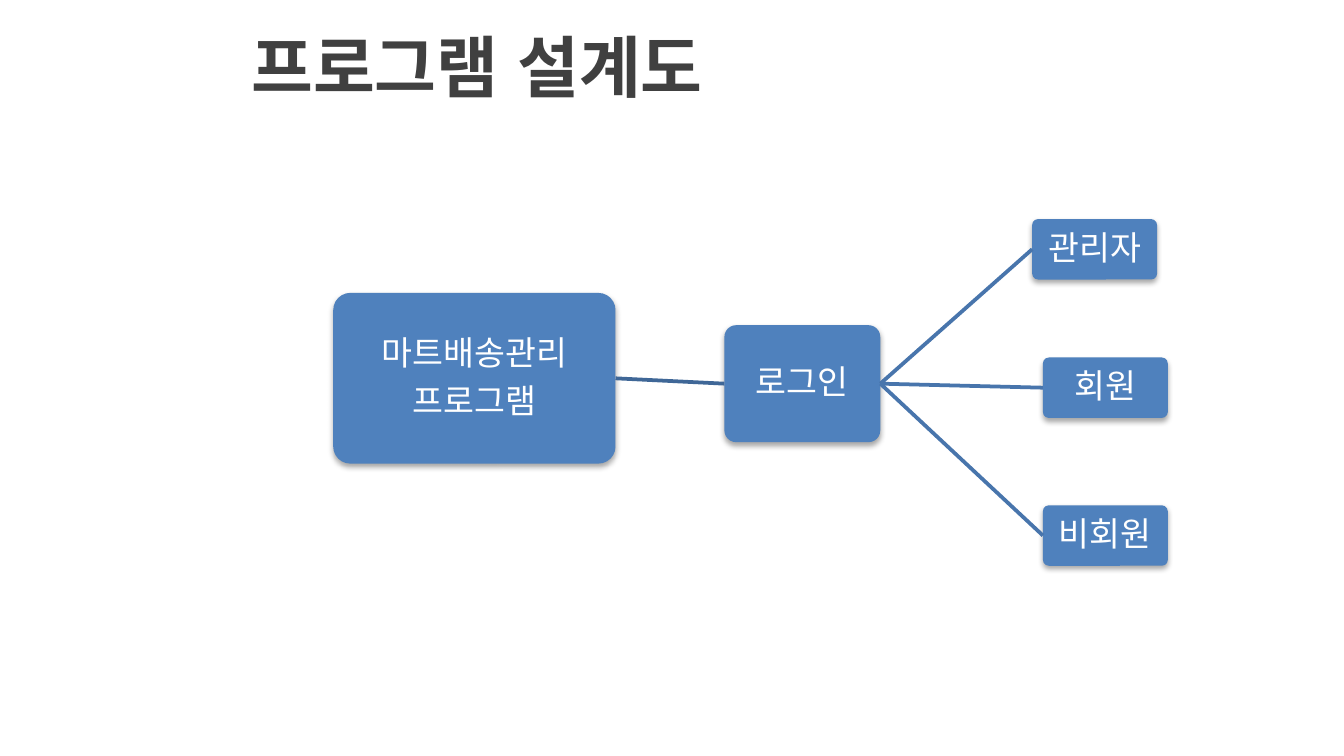
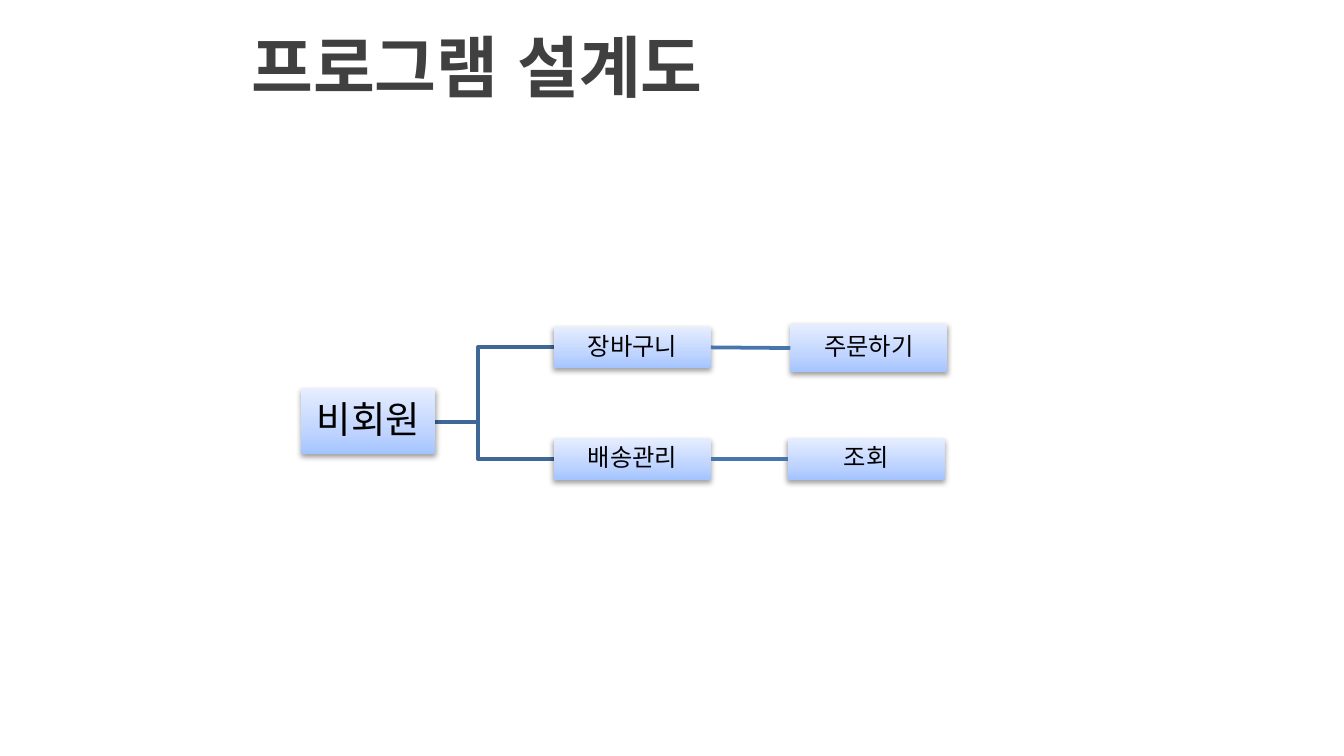
import pptx
import pptx.util
import pptx.dml.color
import pptx.enum.shapes
import pptx.enum.text
import pptx.oxml.ns
from lxml import etree

COLORS = {
    "title": "404040",
    "solid": "4F81BD",
    "trunk": "3F6797",
    "branch": "4875AC",
    "light_text": "FFFFFF",
    "dark_text": "000000",
    "shadow": "000000",
}
GRADIENT = [(0, "A4C4FF"), (35, "BFD4FF"), (100, "E6EEFF")]
TITLE_FONT, NODE_FONT = "Arial", "Noto Sans CJK KR"
CELL = pptx.util.Inches(0.1)
LEFT, RIGHT = 1, 3
qn = pptx.oxml.ns.qn


def cells(*counts):
    """Turn counts of grid cells into lengths."""
    return [round(count * CELL) for count in counts]


def rgb(name):
    """Look up a named colour."""
    return pptx.dml.color.RGBColor.from_string(COLORS[name])


def style_text(paragraph, typeface, size, color, bold=False):
    """Set the font of a whole paragraph, Korean glyphs included."""
    font = paragraph.font
    font.name, font.size, font.bold = typeface, pptx.util.Pt(size), bold
    font.color.rgb = rgb(color)
    defaults = paragraph._p.pPr.find(qn("a:defRPr"))
    etree.SubElement(defaults, qn("a:ea"), typeface=typeface)


def add_shadow(shape, opacity, distance):
    """Give a shape a soft shadow straight below it."""
    shape.shadow.inherit = False
    effects = shape._element.spPr.find(qn("a:effectLst"))
    outer = etree.SubElement(
        effects, qn("a:outerShdw"), blurRad=str(pptx.util.Pt(3.1)),
        dist=str(pptx.util.Pt(distance)), dir="5400000", rotWithShape="0")
    color = etree.SubElement(outer, qn("a:srgbClr"), val=COLORS["shadow"])
    etree.SubElement(color, qn("a:alpha"), val=str(opacity * 1000))


def fill_gradient(shape):
    """Fill a shape with the pale gradient, darkest at the bottom."""
    shape.fill.gradient()
    shape.fill.gradient_angle = 90
    stops = shape._element.spPr.find(qn("a:gradFill")).find(qn("a:gsLst"))
    for stop in list(stops):
        stops.remove(stop)
    for position, color in GRADIENT:
        stop = etree.SubElement(stops, qn("a:gs"), pos=str(position * 1000))
        etree.SubElement(stop, qn("a:srgbClr"), val=color)


def write_label(shape, lines, size, color):
    """Centre the lines of a label in its box."""
    frame = shape.text_frame
    frame.word_wrap = True
    frame.vertical_anchor = pptx.enum.text.MSO_ANCHOR.MIDDLE
    frame.margin_left = frame.margin_right = pptx.util.Inches(0.01)
    frame.margin_top = frame.margin_bottom = pptx.util.Inches(0.01)
    frame.text = lines
    for paragraph in frame.paragraphs:
        paragraph.alignment = pptx.enum.text.PP_ALIGN.CENTER
        paragraph.line_spacing = 0.9
        after = etree.SubElement(paragraph._p.pPr, qn("a:spcAft"))
        etree.SubElement(after, qn("a:spcPct"), val="35000")
        style_text(paragraph, NODE_FONT, size, color)


def add_solid_node(slide, label, *place):
    """Add a rounded blue box with white text."""
    node = slide.shapes.add_shape(
        pptx.enum.shapes.MSO_SHAPE.ROUNDED_RECTANGLE, *cells(*place))
    node.adjustments[0] = 0.1
    node.fill.solid()
    node.fill.fore_color.rgb = rgb("solid")
    node.line.fill.background()
    add_shadow(node, 35, 1.8)
    write_label(node, label, 18, "light_text")
    return node


def add_pale_node(slide, label, size, *place):
    """Add a pale gradient box with black text."""
    node = slide.shapes.add_shape(
        pptx.enum.shapes.MSO_SHAPE.RECTANGLE, *cells(*place))
    fill_gradient(node)
    node.line.fill.background()
    add_shadow(node, 38, 1.6)
    write_label(node, label, size, "dark_text")
    return node


def add_link(slide, kind, color, *ends):
    """Add a flat connector between two points of the grid."""
    link = slide.shapes.add_connector(kind, *cells(*ends))
    link.line.color.rgb = rgb(color)
    link.line.width = pptx.util.Pt(2)
    etree.SubElement(link._element.spPr, qn("a:effectLst"))
    return link


def join(slide, parent, child, color):
    """Link the right side of a box to the left side of the next."""
    link = add_link(slide, pptx.enum.shapes.MSO_CONNECTOR.STRAIGHT, color, 0, 0, 0, 0)
    link.begin_connect(parent, RIGHT)
    link.end_connect(child, LEFT)


def add_design_slide(deck):
    """Add a slide with the shared heading."""
    slide = deck.slides.add_slide(deck.slide_layouts[5])
    heading = slide.shapes.title
    heading.left, heading.top, heading.width, heading.height = cells(17.7, 0, 82.3, 9.7)
    heading.text_frame.text = "프로그램 설계도"
    heading.text_frame.vertical_anchor = pptx.enum.text.MSO_ANCHOR.MIDDLE
    paragraph = heading.text_frame.paragraphs[0]
    paragraph.alignment = pptx.enum.text.PP_ALIGN.LEFT
    style_text(paragraph, TITLE_FONT, 36, "title", bold=True)
    return slide


def add_login_slide(deck):
    """Show the program, its login and the three kinds of user."""
    slide = add_design_slide(deck)
    program = add_solid_node(slide, "마트배송관리\n프로그램", 24.8, 21.8, 21, 12.7)
    login = add_solid_node(slide, "로그인", 53.9, 24.2, 11.6, 8.7)
    join(slide, program, login, "trunk")
    for role, left, top in [("관리자", 76.8, 16.3), ("회원", 77.6, 26.6), ("비회원", 77.6, 37.6)]:
        user = add_solid_node(slide, role, left, top, 9.3, 4.5)
        join(slide, login, user, "branch")


def add_guest_slide(deck):
    """Show what a guest can do."""
    slide = add_design_slide(deck)
    menus = [
        ("장바구니", 24.3, "주문하기", 58.8, 24.1, 3.6),
        ("배송관리", 32.6, "조회", 58.6, 32.6, 3.1),
    ]
    for _, top, *_ in menus:
        add_link(slide, pptx.enum.shapes.MSO_CONNECTOR.ELBOW, "trunk",
                 29.9, 31.4, 41.2, top + 1.55)
    add_pale_node(slide, "비회원", 20, 22.4, 28.9, 10, 4.9)
    for menu, top, action, action_left, action_top, action_height in menus:
        menu_node = add_pale_node(slide, menu, 13, 41.2, top, 11.7, 3.1)
        action_node = add_pale_node(
            slide, action, 13, action_left, action_top, 11.7, action_height)
        join(slide, menu_node, action_node, "branch")


def main():
    """Build the two design slides."""
    deck = pptx.Presentation()
    deck.slide_width = pptx.util.Inches(10)
    deck.slide_height = deck.slide_width * 9 // 16
    add_login_slide(deck)
    add_guest_slide(deck)
    deck.save("out.pptx")


if __name__ == "__main__":
    main()
